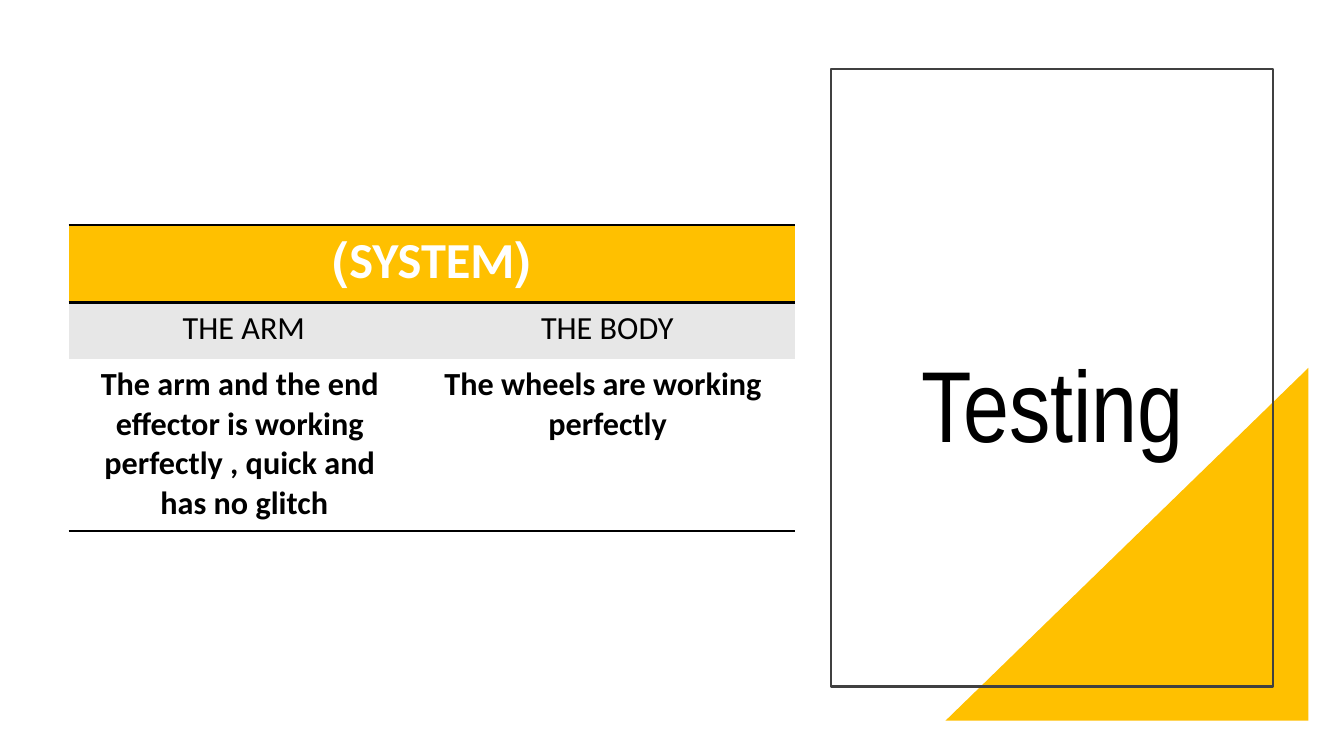
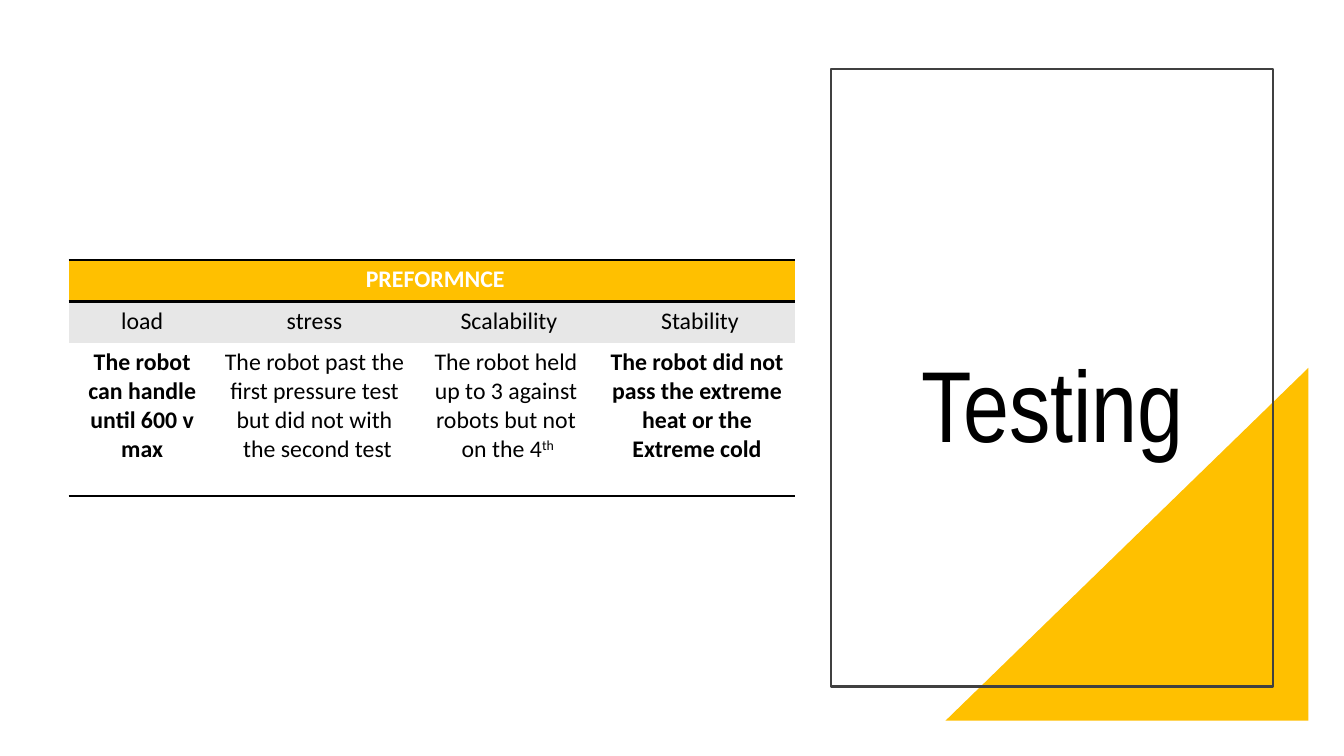
"""Build two testing slides, each with a results table and a framed title."""
from lxml.etree import SubElement
from pptx import Presentation
from pptx.dml.color import RGBColor
from pptx.enum.shapes import MSO_SHAPE
from pptx.enum.text import MSO_ANCHOR, MSO_AUTO_SIZE, PP_ALIGN
from pptx.oxml.ns import qn
from pptx.util import Pt

AMBER, GREY, WHITE, BLACK, FRAME = "FFC000", "E7E7E7", "FFFFFF", "000000", "404040"
NO_GRID = "{2D5ABB26-0587-4C30-8999-92F81FD0307C}"
ROW_FILLS = [AMBER, GREY, WHITE]
ROW_RULES = [("a:lnT", "a:lnB"), (), ("a:lnB",)]


def rgb(value):
    return RGBColor.from_string(value)


def write(p, text, size=18, font="Calibri", color=BLACK, bold=False, raised=False):
    p.alignment = PP_ALIGN.CENTER
    r = p.add_run()
    r.text = text
    r.font.size = Pt(size)
    r.font.name = font
    r.font.bold = bold
    r.font.color.rgb = rgb(color)
    if raised:
        r.font._element.set("baseline", "30000")


slides = [
    {
        "top": 160.6, "cols": [244.8, 274.3], "rows": [55.4, 40.3, 123.1],
        "margins": (9.4, 4.3), "head_size": 36, "size": 23,
        "head": "(SYSTEM)",
        "names": ["THE ARM ", "THE BODY "],
        "results": [
            ("The arm and the end effector is working perfectly , quick and has no glitch ", True),
            ("The wheels are working perfectly ", True),
        ],
    },
    {
        "top": 185.8, "cols": [105.1, 141.1, 132.5, 140.4], "rows": [29.5, 29.5, 109.4],
        "margins": (6.5, 3.6), "head_size": 17, "size": 17,
        "head": "PREFORMNCE ",
        "names": ["load", "stress", "Scalability ", "Stability "],
        "results": [
            ("The robot can handle until 600 v max", True),
            ("The robot past the first pressure test but did not with the second test ", False),
            ("The robot held up to 3 against robots but not on the 4^th ", False),
            ("The robot did not pass the extreme heat or the Extreme cold", True),
        ],
    },
]

prs = Presentation()
prs.slide_width, prs.slide_height = Pt(960), Pt(540)

for data in slides:
    s = prs.slides.add_slide(prs.slide_layouts[5])

    sp = s.shapes.add_shape(MSO_SHAPE.RIGHT_TRIANGLE, Pt(675.4), Pt(262.8), Pt(259.2), Pt(252))
    sp.shadow.inherit = False
    sp.fill.solid()
    sp.fill.fore_color.rgb = rgb(AMBER)
    sp.line.fill.background()
    sp._element.spPr.find(qn("a:xfrm")).set("flipH", "1")

    sp = s.shapes.add_shape(MSO_SHAPE.RECTANGLE, Pt(593.3), Pt(49), Pt(316), Pt(441.4))
    sp.shadow.inherit = False
    sp.fill.background()
    sp.line.color.rgb = rgb(FRAME)
    sp.line.width = Pt(1.5)

    title = s.shapes.title
    title.left, title.top, title.width, title.height = Pt(634.3), Pt(83.5), Pt(252), Pt(252)
    s.shapes._spTree.append(title._element)
    tf = title.text_frame
    tf.auto_size = MSO_AUTO_SIZE.NONE
    tf.word_wrap = True
    tf.vertical_anchor = MSO_ANCHOR.BOTTOM
    tf.paragraphs[0].line_spacing = 0.9
    write(tf.paragraphs[0], "Testing ", size=72, font="Arial Narrow")

    cols, rows = data["cols"], data["rows"]
    frame = s.shapes.add_table(len(rows), len(cols), Pt(49), Pt(data["top"]),
                               Pt(sum(cols)), Pt(sum(rows)))
    tbl = frame.table
    tbl.first_row = tbl.horz_banding = False
    tbl._tbl.tblPr.find(qn("a:tableStyleId")).text = NO_GRID
    for col, width in zip(tbl.columns, cols):
        col.width = Pt(width)
    for row, height in zip(tbl.rows, rows):
        row.height = Pt(height)
    tbl.cell(0, 0).merge(tbl.cell(0, len(cols) - 1))

    side, edge = data["margins"]
    for row, fill, rules in zip(tbl.rows, ROW_FILLS, ROW_RULES):
        for cell in row.cells:
            cell.margin_left = cell.margin_right = Pt(side)
            cell.margin_top = cell.margin_bottom = Pt(edge)
            tcPr = cell._tc.get_or_add_tcPr()
            for tag in rules:
                ln = SubElement(tcPr, qn(tag), w=str(Pt(2)))
                solid = SubElement(ln, qn("a:solidFill"))
                SubElement(solid, qn("a:srgbClr"), val=BLACK)
            cell.fill.solid()
            cell.fill.fore_color.rgb = rgb(fill)
            cell.text_frame.paragraphs[0]._p.get_or_add_pPr().set("rtl", "1")

    write(tbl.cell(0, 0).text_frame.paragraphs[0], data["head"],
          size=data["head_size"], color=WHITE, bold=True)
    for i, (name, (result, bold)) in enumerate(zip(data["names"], data["results"])):
        write(tbl.cell(1, i).text_frame.paragraphs[0], name, size=data["size"])
        p = tbl.cell(2, i).text_frame.paragraphs[0]
        base, _, ordinal = result.partition("^")
        write(p, base, size=data["size"], bold=bold)
        if ordinal:
            write(p, ordinal, size=data["size"], bold=bold, raised=True)

prs.save("out.pptx")
